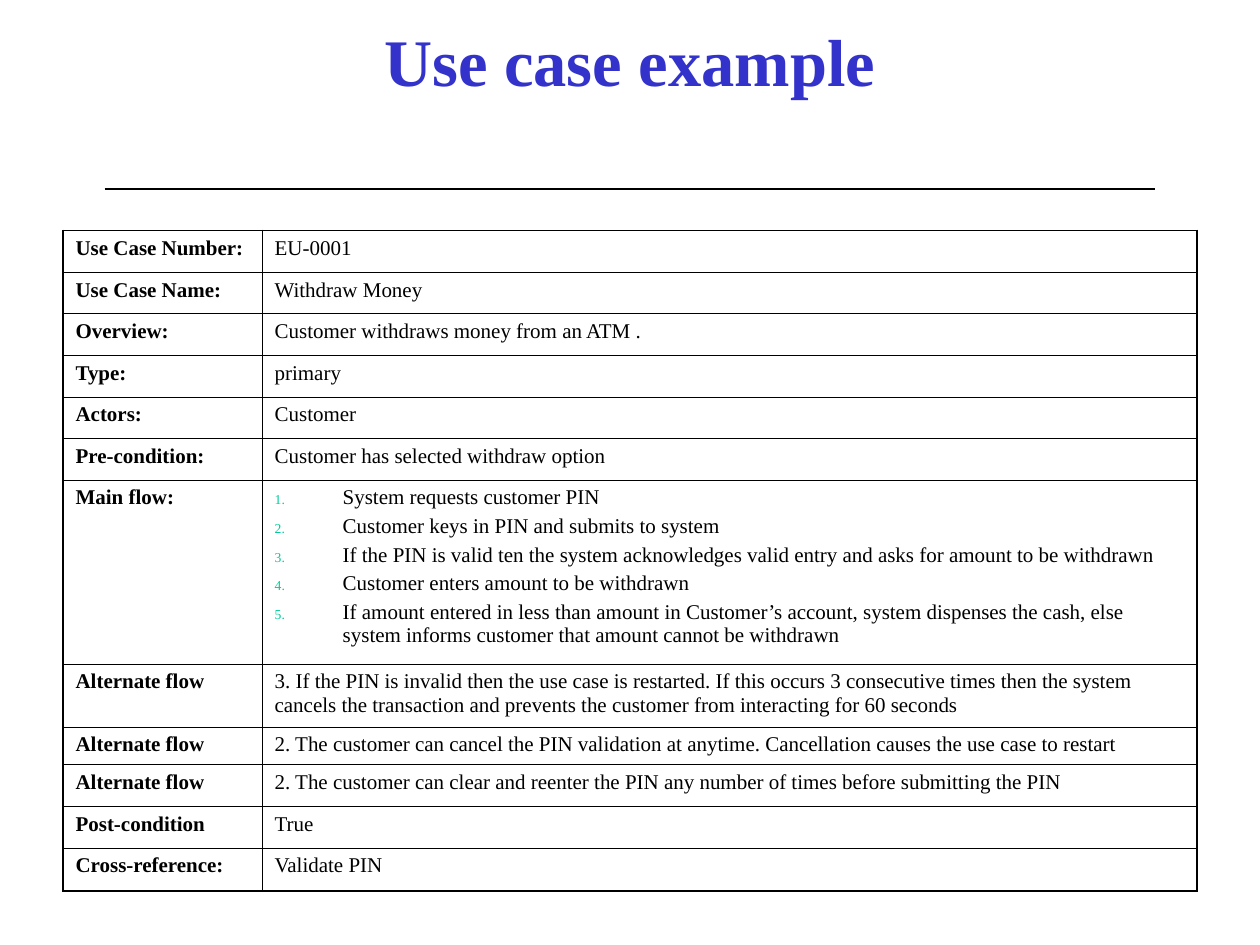
from lxml.etree import SubElement
from pptx import Presentation
from pptx.dml.color import RGBColor
from pptx.enum.shapes import MSO_CONNECTOR
from pptx.enum.text import MSO_ANCHOR, MSO_AUTO_SIZE, PP_ALIGN
from pptx.oxml import parse_xml
from pptx.oxml.ns import nsdecls, qn
from pptx.util import Inches, Pt

TITLE = "Use case example"
# Label, row height in inches, content (a list becomes numbered steps)
ROWS = [
    ("Use Case Number:", 0.33, "EU-0001"),
    ("Use Case Name:", 0.33, "Withdraw Money"),
    ("Overview:", 0.33, "Customer withdraws money from an ATM ."),
    ("Type:", 0.33, "primary"),
    ("Actors:", 0.33, "Customer"),
    ("Pre-condition:", 0.33, "Customer has selected withdraw option"),
    ("Main flow:", 1.46, [
        "System requests customer PIN",
        "Customer keys in PIN and submits to system",
        "If the PIN is valid ten the system acknowledges valid entry and asks "
        "for amount to be withdrawn",
        "Customer enters amount to be withdrawn",
        "If amount entered in less than amount in Customer’s account, system "
        "dispenses the cash, else system informs customer that amount cannot be withdrawn",
    ]),
    ("Alternate flow", 0.5,
     "3. If the PIN is invalid then the use case is restarted. If this occurs "
     "3 consecutive times then the system cancels the transaction and prevents "
     "the customer from interacting for 60 seconds"),
    ("Alternate flow", 0.3,
     "2. The customer can cancel the PIN validation at anytime. "
     "Cancellation causes the use case to restart"),
    ("Alternate flow", 0.33,
     "2. The customer can clear and reenter the PIN any number of times "
     "before submitting the PIN"),
    ("Post-condition", 0.33, "True"),
    ("Cross-reference:", 0.34, "Validate PIN"),
]
COLUMN_WIDTHS = (1.58, 7.42)
COLORS = {"title": "3333CC", "text": "000000", "number": "00CC99"}
FONT = "Times New Roman"
OUTER, INNER = 1.08, 0.45
STEP_INDENT = Inches(0.54)


def set_font(paragraph, size, color, bold):
    font = paragraph.font
    font.name, font.size, font.bold = FONT, Pt(size), bold
    font.color.rgb = RGBColor.from_string(COLORS[color])


def add_number(paragraph):
    properties = paragraph._p.get_or_add_pPr()
    properties.set("marL", str(STEP_INDENT))
    properties.set("indent", str(-STEP_INDENT))
    color = SubElement(properties, qn("a:buClr"))
    SubElement(color, qn("a:srgbClr"), val=COLORS["number"])
    SubElement(properties, qn("a:buSzPct"), val="65000")
    SubElement(properties, qn("a:buFont"), typeface=FONT)
    SubElement(properties, qn("a:buAutoNum"), type="arabicPeriod")


def fill_cell(cell, content, bold):
    cell.fill.background()
    numbered = isinstance(content, list)
    lines = content if numbered else [content]
    cell.text_frame.text = "\n".join(lines)
    for index, paragraph in enumerate(cell.text_frame.paragraphs):
        if numbered:
            add_number(paragraph)
        if index:
            paragraph.space_before = Pt(3)
        set_font(paragraph, 12, "text", bold)


def set_borders(cell, widths):
    properties = cell._tc.get_or_add_tcPr()
    for index, (side, width) in enumerate(widths.items()):
        properties.insert(index, parse_xml(
            f'<a:ln{side} {nsdecls("a")} w="{Pt(width)}"><a:solidFill>'
            f'<a:srgbClr val="{COLORS["text"]}"/></a:solidFill></a:ln{side}>'))


deck = Presentation()
deck.slide_width, deck.slide_height = Inches(10), Inches(7.5)
page = deck.slides.add_slide(deck.slide_layouts[5])

# Title
title = page.shapes.title
title.left, title.top = Inches(0.5), Inches(0.25)
title.width, title.height = Inches(9), Inches(0.45)
frame = title.text_frame
frame.text = TITLE
frame.auto_size = MSO_AUTO_SIZE.NONE
frame.vertical_anchor = MSO_ANCHOR.MIDDLE
frame.paragraphs[0].alignment = PP_ALIGN.CENTER
set_font(frame.paragraphs[0], 38, "title", True)

# Rule below the title
rule = page.shapes.add_connector(
    MSO_CONNECTOR.STRAIGHT, Inches(0.83), Inches(1.5), Inches(9.17), Inches(1.5))
rule.line.color.rgb = RGBColor.from_string(COLORS["text"])
rule.line.width = Pt(0.75)
SubElement(rule._element.spPr, qn("a:effectLst"))

# Use case table
table_height = sum(height for _, height, _ in ROWS)
table = page.shapes.add_table(
    len(ROWS), len(COLUMN_WIDTHS), Inches(0.5), Inches(1.83),
    Inches(sum(COLUMN_WIDTHS)), Inches(table_height)).table
table.first_row = table.horz_banding = False
for column, width in zip(table.columns, COLUMN_WIDTHS):
    column.width = Inches(width)

last_row, last_column = len(ROWS) - 1, len(COLUMN_WIDTHS) - 1
for row, (label, height, content) in enumerate(ROWS):
    table.rows[row].height = Inches(height)
    for column, value in enumerate((label, content)):
        cell = table.cell(row, column)
        fill_cell(cell, value, bold=column == 0)
        set_borders(cell, {
            "L": OUTER if column == 0 else INNER,
            "R": OUTER if column == last_column else INNER,
            "T": OUTER if row == 0 else INNER,
            "B": OUTER if row == last_row else INNER,
        })

deck.save("out.pptx")
